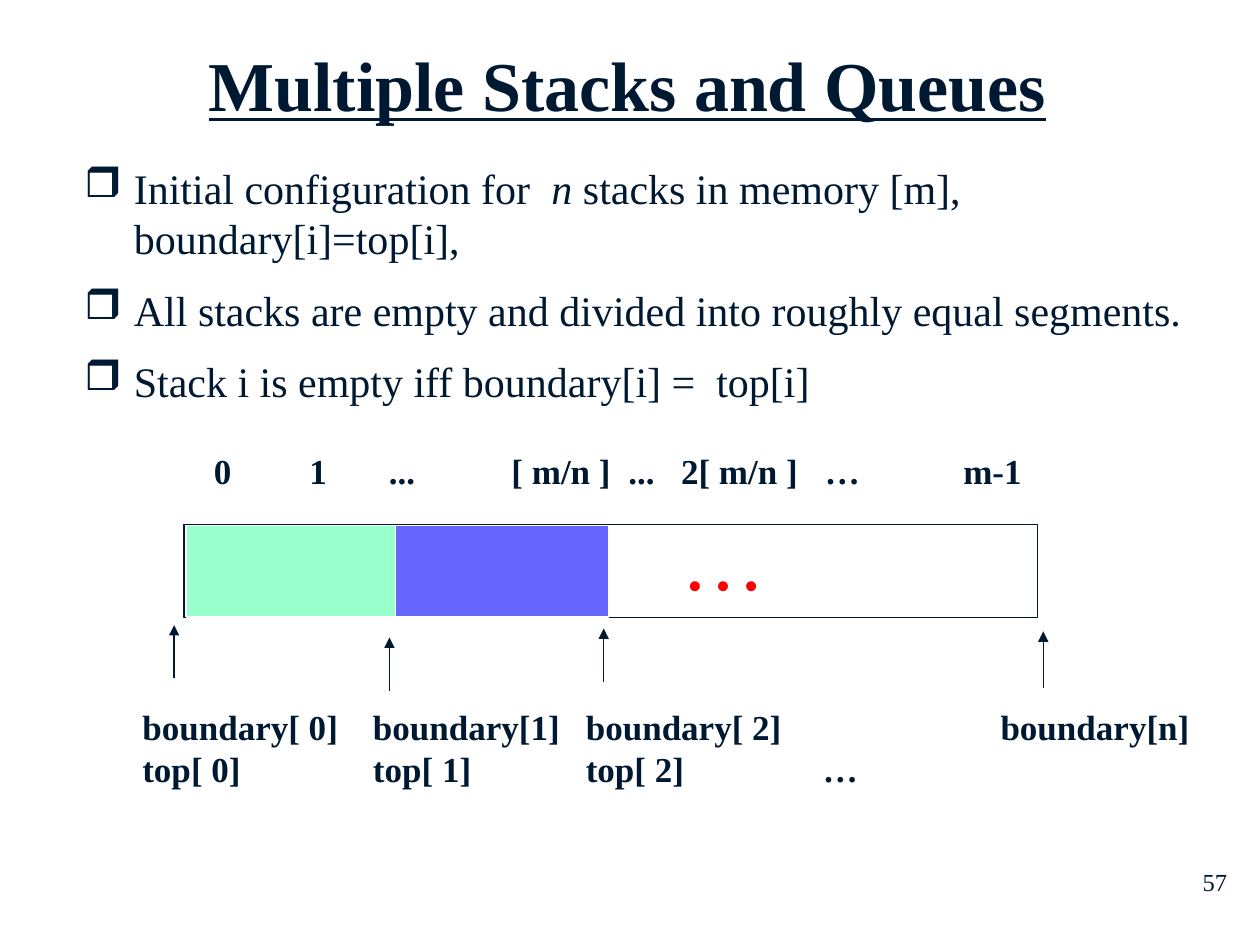
from lxml import etree
from pptx import Presentation
from pptx import util as u
from pptx.dml.color import RGBColor
from pptx.enum import shapes, text
from pptx.oxml.ns import qn

INK = "001932"
FONT = "Times New Roman"


def color(hex_value):
    return RGBColor.from_string(hex_value)


def format_font(font, size, hex_value=INK, bold=False):
    font.name = FONT
    font.size = u.Pt(size)
    font.bold = bold
    font.color.rgb = color(hex_value)


def format_runs(p, size, hex_value=INK, bold=False):
    for r in p.runs:
        format_font(r.font, size, hex_value, bold)


def add_text_box(s, x, y, w, h):
    tf = s.shapes.add_textbox(u.Cm(x), u.Cm(y), u.Cm(w), u.Cm(h)).text_frame
    tf.word_wrap = True
    return tf


def add_label(s, x, y, w, h, label, size, hex_value=INK, align=text.PP_ALIGN.LEFT):
    p = add_text_box(s, x, y, w, h).paragraphs[0]
    p.text = label
    p.alignment = align
    format_runs(p, size, hex_value)


def set_tabs(p, stops):
    tabs = etree.SubElement(p._p.get_or_add_pPr(), qn("a:tabLst"))
    for stop in stops:
        etree.SubElement(tabs, qn("a:tab"), pos=str(u.Cm(stop)), algn="l")


def add_tabbed_rows(s, x, y, w, h, rows):
    """Rows of bold labels, each placed on its own tab stops."""
    tf = add_text_box(s, x, y, w, h)
    for i, (labels, stops) in enumerate(rows):
        p = tf.add_paragraph() if i else tf.paragraphs[0]
        set_tabs(p, stops)
        p.text = "\t".join(labels)
        format_runs(p, 20, bold=True)


def add_bullets(s, x, y, w, h, items):
    """Each item is a list of (text, italic) parts."""
    tf = add_text_box(s, x, y, w, h)
    for i, parts in enumerate(items):
        p = tf.add_paragraph() if i else tf.paragraphs[0]
        pPr = p._p.get_or_add_pPr()
        pPr.set("marL", str(u.Cm(1)))
        pPr.set("indent", str(u.Cm(-1)))
        etree.SubElement(pPr, qn("a:buChar"), char="❒")
        if i:
            p.space_before = u.Pt(12)
        for j, (part, italic) in enumerate(parts):
            if j and part.startswith("\v"):
                p.add_line_break()
            r = p.add_run()
            r.text = part.lstrip("\v")
            format_font(r.font, 24)
            r.font.italic = italic


def add_rect(s, x, y, w, h, line, fill=None):
    sp = s.shapes.add_shape(shapes.MSO_SHAPE.RECTANGLE, u.Cm(x), u.Cm(y), u.Cm(w), u.Cm(h))
    sp.shadow.inherit = False
    sp.line.color.rgb = color(line)
    sp.line.width = u.Pt(0.75)
    if fill:
        sp.fill.solid()
        sp.fill.fore_color.rgb = color(fill)
    else:
        sp.fill.background()


def add_up_arrow(s, x, bottom, length):
    cn = s.shapes.add_connector(shapes.MSO_CONNECTOR.STRAIGHT, u.Cm(x), u.Cm(bottom),
                                u.Cm(x), u.Cm(bottom - length))
    cn.line.color.rgb = color(INK)
    cn.line.width = u.Pt(0.75)
    etree.SubElement(cn.line._get_or_add_ln(), qn("a:tailEnd"), type="triangle")
    etree.SubElement(cn._element.spPr, qn("a:effectLst"))


def set_title(s, title):
    sp = s.shapes.title
    sp.left, sp.top, sp.width, sp.height = u.Cm(2.13), u.Cm(0.71), u.Cm(21.03), u.Cm(1.96)
    tf = sp.text_frame
    tf.text = title
    tf.vertical_anchor = text.MSO_ANCHOR.MIDDLE
    p = tf.paragraphs[0]
    p.alignment = text.PP_ALIGN.CENTER
    format_runs(p, 40, bold=True)
    p.runs[0].font.underline = True


def main():
    prs = Presentation()
    prs.slide_width, prs.slide_height = u.Cm(25.4), u.Cm(19.05)
    s = prs.slides.add_slide(prs.slide_layouts[5])
    set_title(s, "Multiple Stacks and Queues")

    add_bullets(s, 1.45, 3.15, 22.91, 5.21, [
        [("Initial configuration for ", False), (" n ", True),
         ("stacks in memory [m],", False), ("\vboundary[i]=top[i],", False)],
        [("All stacks are empty and divided into roughly equal segments.", False)],
        [("Stack i is empty iff boundary[i] =  top[i]", False)],
    ])

    # Memory indices above the array
    add_tabbed_rows(s, 4.06, 8.94, 18, 1.09, [
        (["0", "1", "...", "[ m/n ]", "...", "2[ m/n ]", "…", "m-1"],
         [1.93, 3.53, 6, 8.36, 9.42, 12.32, 15.11]),
    ])

    # Memory array with its first two segments
    add_rect(s, 3.71, 10.57, 17.2, 1.88, INK)
    for i, fill in enumerate(["99FFCC", "6666FF"]):
        add_rect(s, 3.76 + i * 4.22, 10.59, 4.29, 1.85, "FFFFFF", fill)
    add_label(s, 13.49, 10.08, 4.98, 2.29, "…", 48, "FF0000")

    # Boundary pointers and their names
    for x, bottom, length in [(3.51, 13.67, 1.07), (7.85, 13.92, 1.07),
                              (12.17, 13.74, 1.07), (21.03, 13.87, 1.14)]:
        add_up_arrow(s, x, bottom, length)
    add_tabbed_rows(s, 2.62, 14.1, 21.87, 2, [
        (["boundary[ 0]", "boundary[1]", "boundary[ 2]", "boundary[n]"], [4.65, 8.94, 17.3]),
        (["top[ 0]", "top[ 1]", "top[ 2]", "…"], [4.65, 8.94, 13.72]),
    ])

    # Page number
    add_label(s, 19.71, 17.35, 5.28, 1.27, "57", 14, align=text.PP_ALIGN.RIGHT)
    prs.save("out.pptx")


if __name__ == "__main__":
    main()
